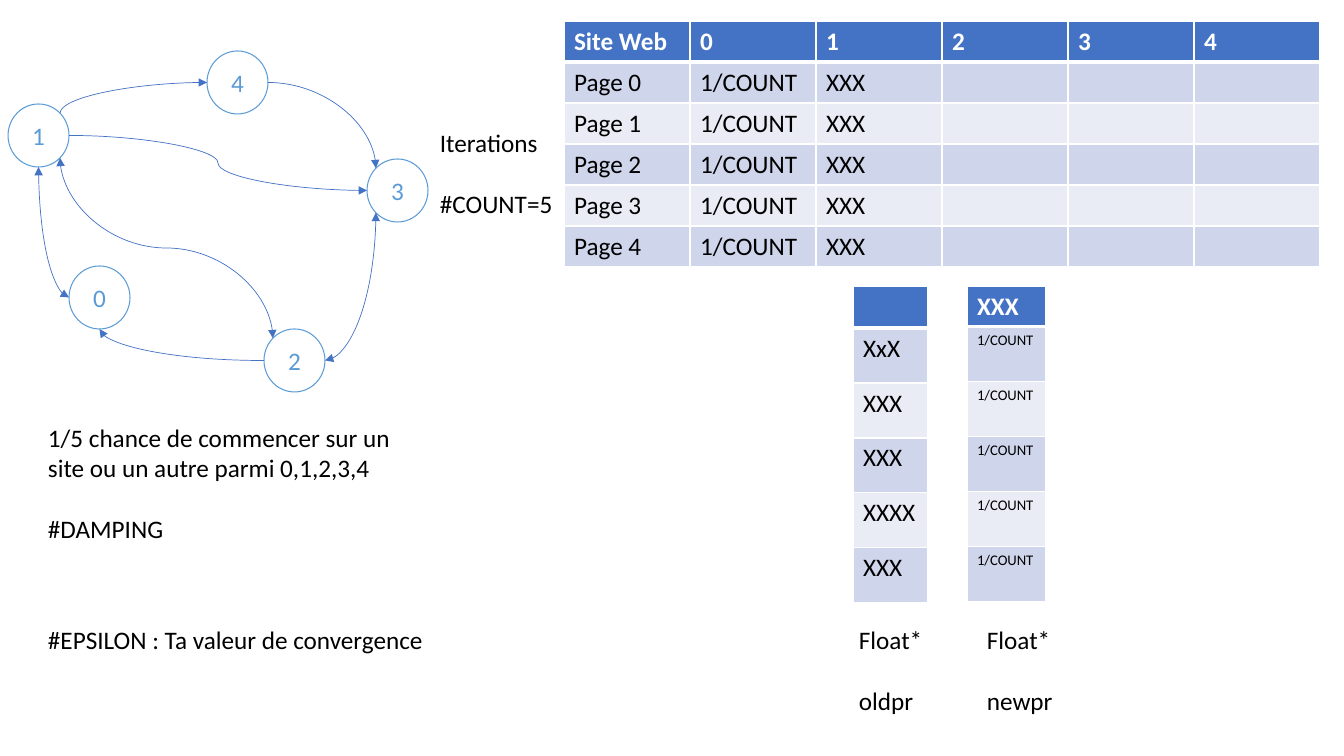
import math

import lxml.etree
import pptx
import pptx.dml.color
import pptx.enum.shapes
import pptx.enum.text
import pptx.oxml.ns
import pptx.util

THEME = {
    "font": "Calibri", "size": 18, "small": 10.5, "gap": 22,
    "text": "000000", "node": "5B9BD5", "arrow": "4472C4",
    "header": "4472C4", "header_text": "FFFFFF", "border": "FFFFFF",
    "bands": ("CFD5EA", "E9EBF5"),
}

# Graph: page label -> left, top of its circle
NODE_SIZE = (61, 63)
NODES = {"1": (8, 104), "4": (207, 51), "0": (69, 266), "2": (264, 329), "3": (367, 159)}
# Clockwise angle of each attachment point on a circle
SITES = {"right": 0, "bottom right": 45, "bottom": 90, "bottom left": 135,
         "left": 180, "top left": 225, "top": 270, "top right": 315}
# Start page and site, end page and site, curve, leaves vertically, two-way
LINKS = [
    ("1", "top right", "4", "left", "curvedConnector2", True, False),
    ("1", "right", "3", "left", "curvedConnector3", False, False),
    ("1", "bottom", "0", "left", "curvedConnector2", True, True),
    ("4", "right", "3", "top left", "curvedConnector2", False, False),
    ("2", "left", "0", "bottom", "curvedConnector2", False, False),
    ("2", "right", "3", "bottom left", "curvedConnector2", False, True),
    ("1", "bottom right", "2", "top left", "curvedConnector3", True, True),
]

# Left, top, width, height, wraps, paragraphs
NOTES = [
    (38, 417, 365, 132, True,
     ["1/5 chance de commencer sur un site ou un autre parmi 0,1,2,3,4", "#DAMPING"]),
    (430, 122, 134, 102, False, ["Iterations", "#COUNT=5"]),
    (849, 619, 85, 102, False, ["Float*", "oldpr"]),
    (977, 619, 87, 102, False, ["Float*", "newpr"]),
    (38, 619, 400, 40, False, ["#EPSILON : Ta valeur de convergence"]),
]

ITERATIONS = [["Site Web", "0", "1", "2", "3", "4"]]
ITERATIONS += [[f"Page {page}", "1/COUNT", "XXX", "", "", ""] for page in range(5)]
OLD_RANKS = [[""], ["XxX"], ["XXX"], ["XXX"], ["XXXX"], ["XXX"]]
NEW_RANKS = [["XXX"]] + [["1/COUNT"]] * 5
# Rows, left, top, column width, header height, row height, body size
TABLES = [
    (ITERATIONS, 564, 21, 126, 41, 41, THEME["size"]),
    (OLD_RANKS, 853, 286, 75, 42, 55, THEME["size"]),
    (NEW_RANKS, 967, 286, 79, 40, 55, THEME["small"]),
]


def px(length):
    """Turn pixels into EMU."""
    return pptx.util.Emu(round(length * 914400 / 100.8))


def rgb(code):
    """Turn a hex code into a colour."""
    return pptx.dml.color.RGBColor.from_string(code)


def add_element(parent, tag, **attributes):
    """Append a DrawingML element."""
    name = pptx.oxml.ns.qn("a:" + tag)
    return lxml.etree.SubElement(parent, name, attributes)


def add_text(para, text, color, size=THEME["size"], bold=False):
    """Add one styled run to a paragraph."""
    span = para.add_run()
    span.text = text
    span.font.name = THEME["font"]
    span.font.size = pptx.util.Pt(size)
    span.font.bold = bold
    span.font.color.rgb = rgb(color)


def add_node(page, label, left, top):
    """Draw one web page as a labelled circle."""
    circle = page.shapes.add_shape(pptx.enum.shapes.MSO_SHAPE.OVAL,
                                   px(left), px(top), *map(px, NODE_SIZE))
    circle.shadow.inherit = False
    circle.fill.background()
    circle.line.color.rgb = rgb(THEME["node"])
    circle.line.width = pptx.util.Pt(0.75)
    circle.text_frame.vertical_anchor = pptx.enum.text.MSO_ANCHOR.MIDDLE
    para = circle.text_frame.paragraphs[0]
    para.alignment = pptx.enum.text.PP_ALIGN.CENTER
    add_text(para, label, THEME["node"])


def site_point(label, site):
    """Find an attachment point on a circle."""
    angle = math.radians(SITES[site])
    (left, top), (width, height) = NODES[label], NODE_SIZE
    return (left + width / 2 * (1 + math.cos(angle)),
            top + height / 2 * (1 + math.sin(angle)))


def add_link(page, start, start_site, end, end_site, curve, vertical, two_way):
    """Draw a curved arrow, turning its frame to suit its direction."""
    x1, y1 = site_point(start, start_site)
    x2, y2 = site_point(end, end_site)
    dx, dy = x2 - x1, y2 - y1
    width, height = (abs(dy), abs(dx)) if vertical else (abs(dx), abs(dy))
    left, top = (x1 + x2 - width) / 2, (y1 + y2 - height) / 2
    link = page.shapes.add_connector(pptx.enum.shapes.MSO_CONNECTOR.CURVE,
                                     px(left), px(top), px(left + width), px(top + height))
    link.line.color.rgb = rgb(THEME["arrow"])
    link.line.width = pptx.util.Pt(0.5)
    properties = link._element.spPr
    properties.find(pptx.oxml.ns.qn("a:prstGeom")).set("prst", curve)
    if vertical:
        turn = 270 if dy > 0 else 90
    else:
        turn = 180 if dx < 0 else 0
    frame = properties.find(pptx.oxml.ns.qn("a:xfrm"))
    frame.set("rot", str(turn * 60000))
    frame.set("flipH", str(int(vertical)))
    frame.set("flipV", str(int(dx * dy < 0)))
    outline = link.line._get_or_add_ln()
    for tag in ("headEnd", "tailEnd") if two_way else ("tailEnd",):
        add_element(outline, tag, type="triangle")
    add_element(properties, "effectLst")


def add_note(page, left, top, width, height, wraps, lines):
    """Write a text box whose paragraphs are one line apart."""
    box = page.shapes.add_textbox(px(left), px(top), px(width), px(height))
    frame = box.text_frame
    frame.word_wrap = wraps
    frame.auto_size = pptx.enum.text.MSO_AUTO_SIZE.SHAPE_TO_FIT_TEXT
    for index, line in enumerate(lines):
        para = frame.add_paragraph() if index else frame.paragraphs[0]
        para.space_before = pptx.util.Pt(THEME["gap"] if index else 0)
        add_text(para, line, THEME["text"])


def style_cell(cell, header, fill):
    """Give a cell white borders and a fill."""
    properties = cell._tc.get_or_add_tcPr()
    for side in "LRTB":
        points = 3 if header and side == "B" else 1
        border = add_element(properties, "ln" + side, w=str(pptx.util.Pt(points)))
        add_element(add_element(border, "solidFill"), "srgbClr", val=THEME["border"])
    cell.fill.solid()
    cell.fill.fore_color.rgb = rgb(fill)


def add_grid(page, rows, left, top, column_width, header_height, row_height, size):
    """Build a banded table with a header row."""
    columns = len(rows[0])
    height = header_height + row_height * (len(rows) - 1)
    table = page.shapes.add_table(len(rows), columns, px(left), px(top),
                                  px(column_width * columns), px(height)).table
    for column in table.columns:
        column.width = px(column_width)
    for index, values in enumerate(rows):
        header = index == 0
        table.rows[index].height = px(header_height if header else row_height)
        fill = THEME["header"] if header else THEME["bands"][(index - 1) % 2]
        color = THEME["header_text"] if header else THEME["text"]
        for cell, value in zip(table.rows[index].cells, values):
            style_cell(cell, header, fill)
            if value:
                add_text(cell.text_frame.paragraphs[0], value, color,
                         THEME["size"] if header else size, header)


deck = pptx.Presentation()
deck.slide_width = px(1344)
deck.slide_height = px(756)
page = deck.slides.add_slide(deck.slide_layouts[6])
for label, corner in NODES.items():
    add_node(page, label, *corner)
for link in LINKS:
    add_link(page, *link)
for note in NOTES:
    add_note(page, *note)
for grid in TABLES:
    add_grid(page, *grid)
deck.save("out.pptx")
